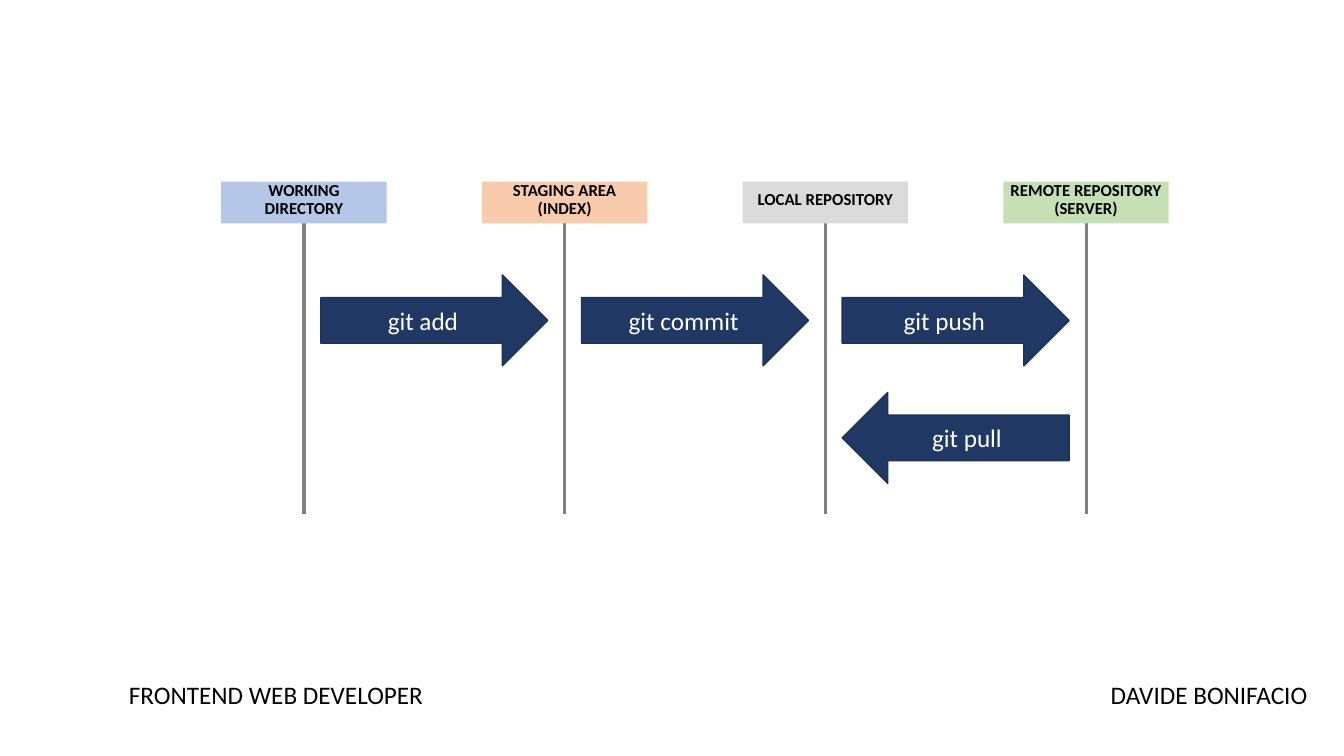
from dataclasses import dataclass

from pptx import Presentation
from pptx.dml.color import RGBColor
from pptx.enum import shapes, text
from pptx.oxml.ns import qn
from pptx.util import Cm, Pt
from lxml import etree


@dataclass(frozen=True)
class Theme:
    font: str = "Calibri"
    ink: str = "000000"
    light: str = "FFFFFF"
    lane: str = "808080"
    arrow: str = "203864"
    arrow_edge: str = "1E3256"
    label_size: int = 12
    body_size: int = 18


THEME = Theme()

STAGES = [
    ("WORKING\vDIRECTORY", "B4C7E7"),
    ("STAGING AREA\v(INDEX)", "F8CBAD"),
    ("LOCAL REPOSITORY", "DBDBDB"),
    ("REMOTE REPOSITORY\v(SERVER)", "C5E0B4"),
]
# Command, index of the lane on its left, top in cm, arrow shape
RIGHT, LEFT = shapes.MSO_SHAPE.RIGHT_ARROW, shapes.MSO_SHAPE.LEFT_ARROW
COMMANDS = [
    ("git add", 0, 6.93, RIGHT),
    ("git commit", 1, 6.93, RIGHT),
    ("git push", 2, 6.93, RIGHT),
    ("git pull", 2, 9.89, LEFT),
]
# Text, left and width in cm
FOOTERS = [("FRONTEND WEB DEVELOPER", 3.0, 8.0), ("DAVIDE BONIFACIO", 27.74, 5.5)]

FIRST_LANE, LANE_PITCH = 7.66, 6.57
LABEL_TOP, LABEL_WIDTH, LABEL_HEIGHT = 4.58, 4.17, 1.05
LANE_BOTTOM = 12.95
ARROW_WIDTH, ARROW_HEIGHT = 5.72, 2.29


def lane_x(index):
    return FIRST_LANE + index * LANE_PITCH


def write(frame, words, size, color, bold=False):
    frame.text = words
    para = frame.paragraphs[0]
    para.font.name = THEME.font
    para.font.size = Pt(size)
    para.font.bold = bold
    para.font.color.rgb = RGBColor.from_string(color)
    return para


def add_block(page, kind, left, top, width, height, fill):
    block = page.shapes.add_shape(kind, Cm(left), Cm(top), Cm(width), Cm(height))
    block.shadow.inherit = False
    block.fill.solid()
    block.fill.fore_color.rgb = RGBColor.from_string(fill)
    block.text_frame.vertical_anchor = text.MSO_ANCHOR.MIDDLE
    return block


def add_lane(page, x):
    lane = page.shapes.add_connector(
        shapes.MSO_CONNECTOR.STRAIGHT,
        Cm(x), Cm(LABEL_TOP + LABEL_HEIGHT), Cm(x), Cm(LANE_BOTTOM),
    )
    lane.line.color.rgb = RGBColor.from_string(THEME.lane)
    lane.line.width = Pt(2.25)
    etree.SubElement(lane._element.spPr, qn("a:effectLst"))


def add_stage_label(page, words, x, fill):
    label = add_block(page, shapes.MSO_SHAPE.RECTANGLE, x - LABEL_WIDTH / 2,
                      LABEL_TOP, LABEL_WIDTH, LABEL_HEIGHT, fill)
    label.line.fill.background()
    frame = label.text_frame
    frame.margin_left = frame.margin_right = frame.margin_top = Cm(0.03)
    frame.margin_bottom = Cm(0.15)
    para = write(frame, words, THEME.label_size, THEME.ink, bold=True)
    para.alignment = text.PP_ALIGN.CENTER
    para.line_spacing = 0.9


def add_command_arrow(page, words, lane, top, kind):
    """Centre an arrow between a lane and the next one."""
    left = lane_x(lane) + (LANE_PITCH - ARROW_WIDTH) / 2
    arrow = add_block(page, kind, left, top, ARROW_WIDTH, ARROW_HEIGHT, THEME.arrow)
    arrow.line.color.rgb = RGBColor.from_string(THEME.arrow_edge)
    arrow.line.width = Pt(1)
    para = write(arrow.text_frame, words, THEME.body_size, THEME.light)
    para.alignment = text.PP_ALIGN.CENTER


def add_footer(page, words, left, width):
    box = page.shapes.add_textbox(Cm(left), Cm(17), Cm(width), Cm(1.03))
    box.text_frame.word_wrap = False
    box.text_frame.auto_size = text.MSO_AUTO_SIZE.SHAPE_TO_FIT_TEXT
    write(box.text_frame, words, THEME.body_size, THEME.ink)


def main():
    deck = Presentation()
    deck.slide_width, deck.slide_height = Cm(33.87), Cm(19.05)
    page = deck.slides.add_slide(deck.slide_layouts.get_by_name("Blank"))
    for footer in FOOTERS:
        add_footer(page, *footer)
    for index, (words, fill) in enumerate(STAGES):
        add_lane(page, lane_x(index))
        add_stage_label(page, words, lane_x(index), fill)
    for command in COMMANDS:
        add_command_arrow(page, *command)
    deck.save("out.pptx")


if __name__ == "__main__":
    main()
